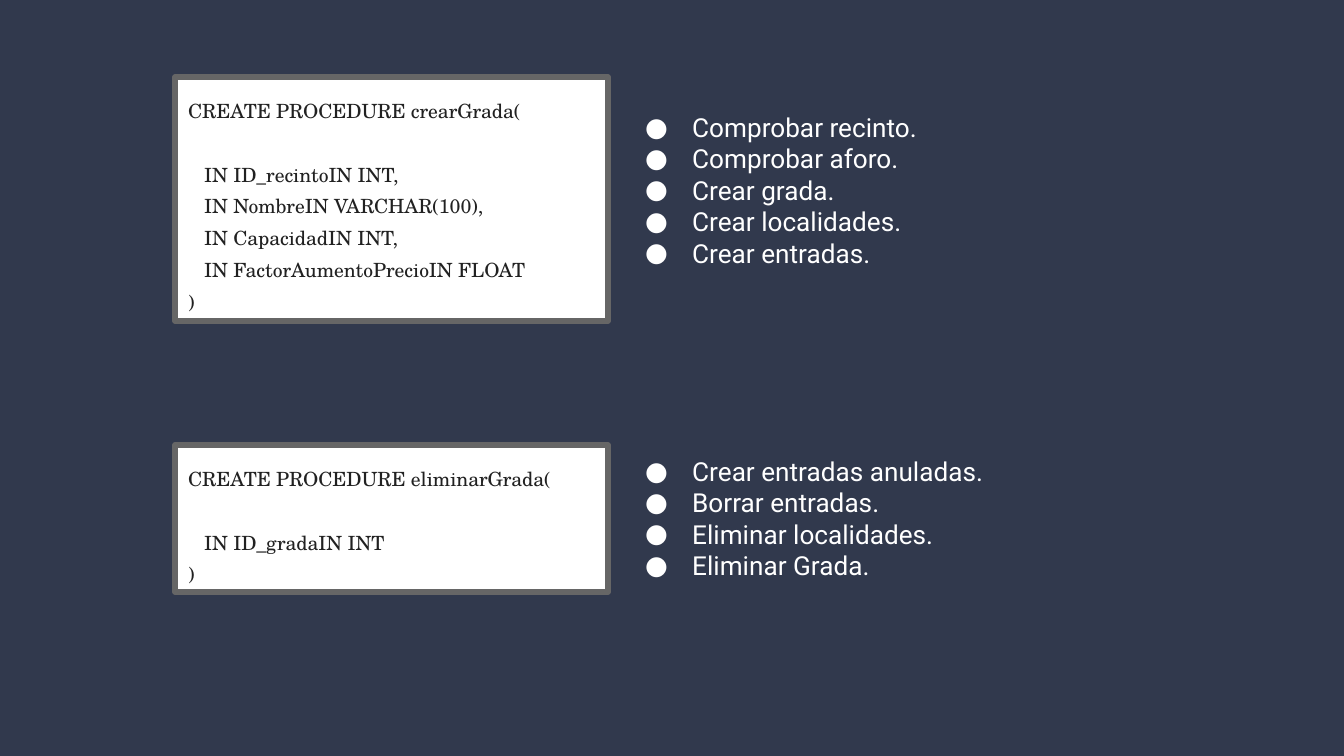
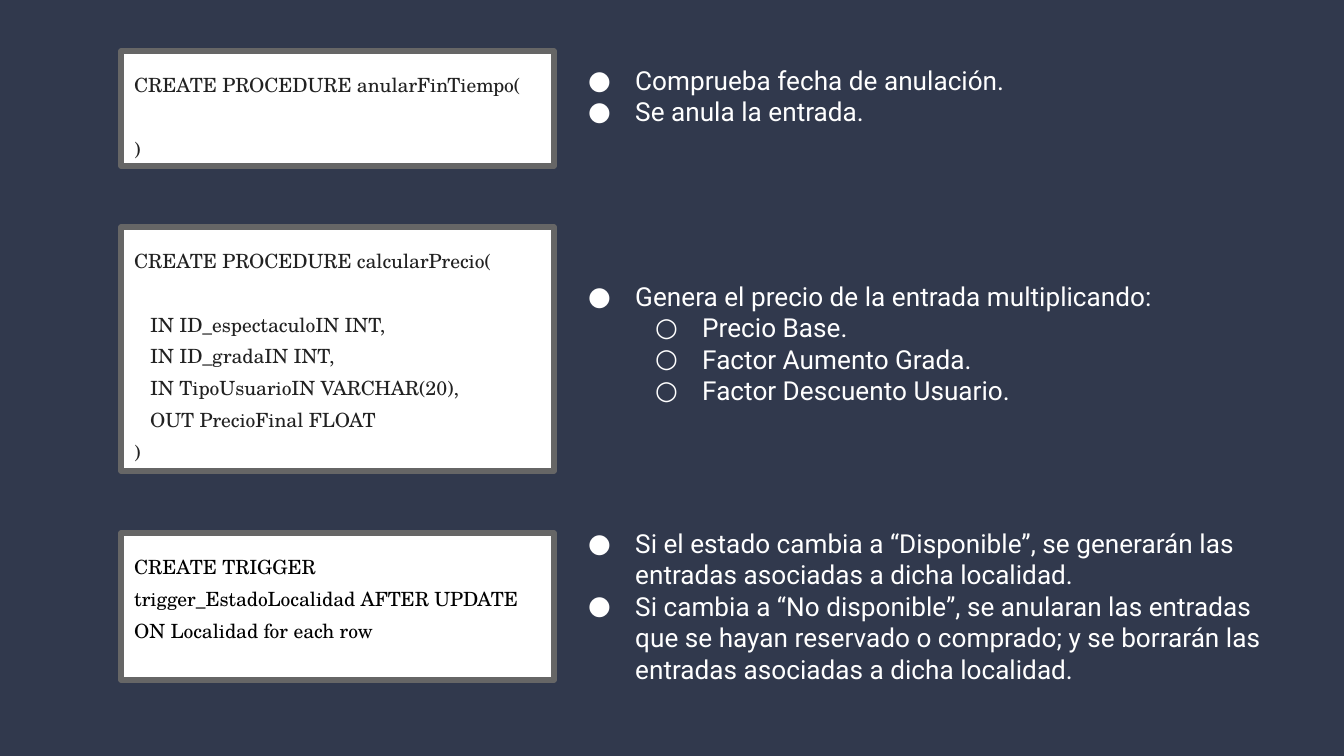
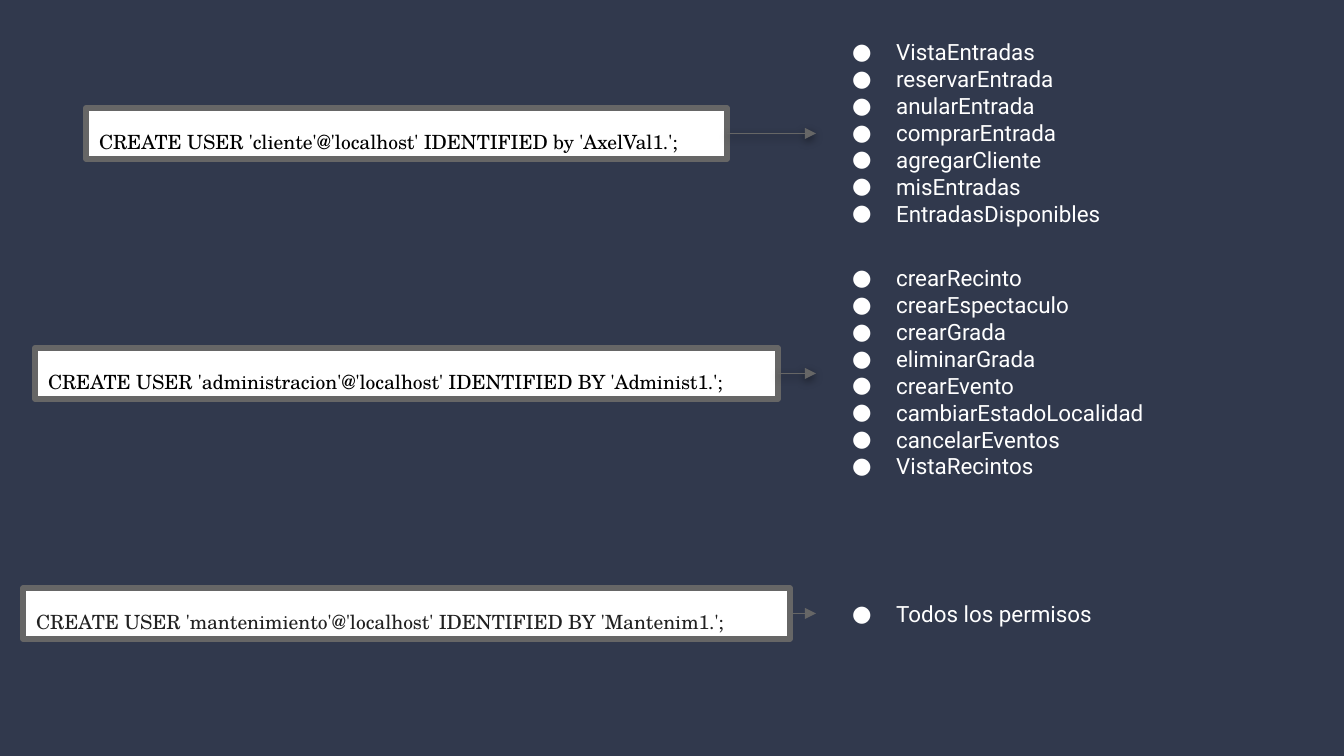
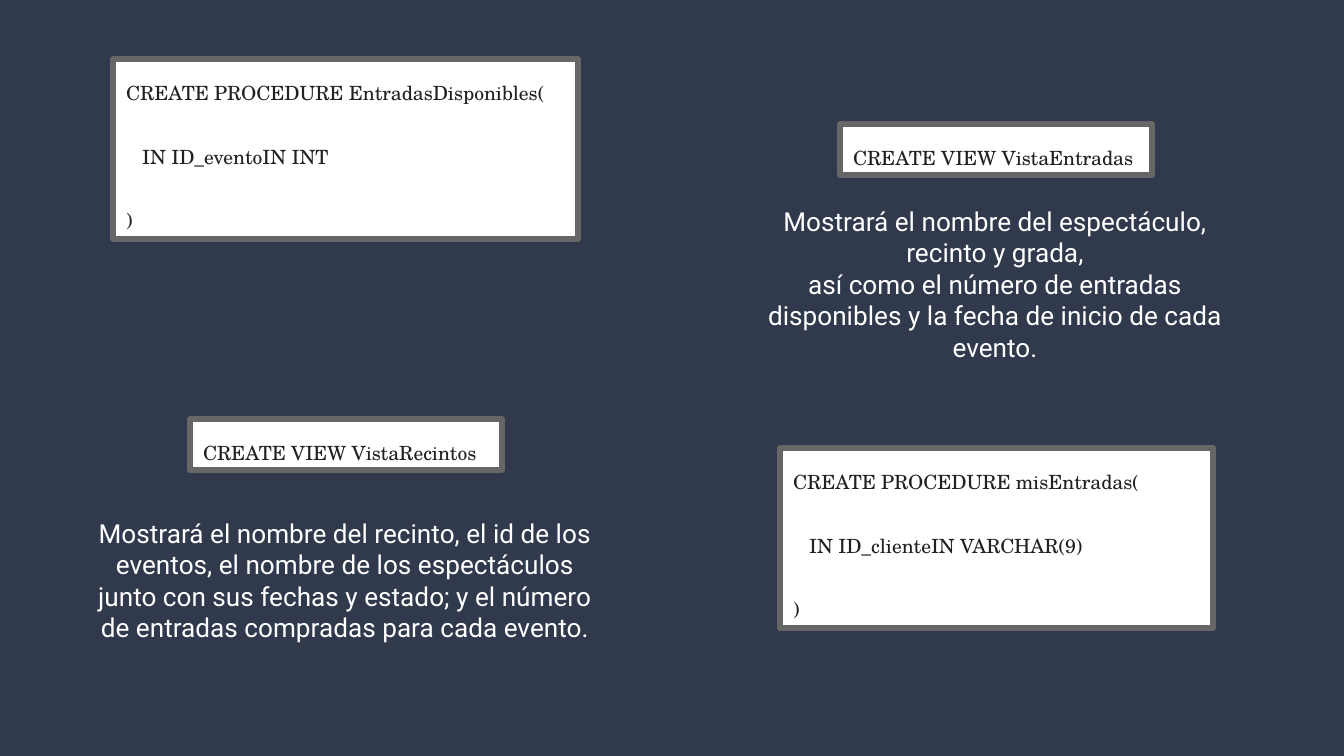
from lxml import etree
from pptx import Presentation
from pptx.dml.color import RGBColor
from pptx.enum.shapes import MSO_CONNECTOR, MSO_SHAPE
from pptx.enum.text import MSO_ANCHOR, PP_ALIGN
from pptx.oxml.ns import qn
from pptx.util import Emu, Pt

RECTANGLE = MSO_SHAPE.RECTANGLE
STRAIGHT = MSO_CONNECTOR.STRAIGHT
TOP = MSO_ANCHOR.TOP
LEFT, CENTER = PP_ALIGN.LEFT, PP_ALIGN.CENTER
RIGHT_SIDE, LEFT_SIDE = 3, 1

SLIDE_WIDTH, SLIDE_HEIGHT = 1344, 756
EMU_PER_PX = 9144000 / SLIDE_WIDTH
INSET = Emu(91440)


def px(length):
    return Emu(round(length * EMU_PER_PX))


def color(value):
    return RGBColor.from_string(value)


def child(parent, tag, **attributes):
    return etree.SubElement(parent, qn(tag), {k: str(v) for k, v in attributes.items()})


class Deck:
    NAVY, WHITE, GRAY = "31394D", "FFFFFF", "666666"
    INK, BLACK = "212121", "000000"
    CODE_FONT, TEXT_FONT = "TeX Gyre Schola", "Roboto"
    CODE_SIZE, TEXT_SIZE = 10.5, 14
    CODE_SPACING, CODE_GAP, CODE_INDENT = 1.36, 17, 16
    CODE_BASE, CODE_STEP = 51, 32.25
    BULLETS = "●○"
    BULLET_STEP = 67

    def __init__(self):
        self.prs = Presentation()
        self.prs.slide_width = px(SLIDE_WIDTH)
        self.prs.slide_height = px(SLIDE_HEIGHT)

    def new_slide(self):
        self.slide = self.prs.slides.add_slide(self.prs.slide_layouts[6])
        fill = self.slide.background.fill
        fill.solid()
        fill.fore_color.rgb = color(self.NAVY)

    def frame(self, shape):
        frame = shape.text_frame
        frame.word_wrap = True
        frame.vertical_anchor = TOP
        frame.margin_left = frame.margin_right = INSET
        frame.margin_top = frame.margin_bottom = INSET
        return frame

    def paragraph(self, frame, index, text, font, size, ink, align=LEFT):
        paragraph = frame.add_paragraph() if index else frame.paragraphs[0]
        paragraph.text = text
        paragraph.alignment = align
        paragraph.font.name = font
        paragraph.font.size = Pt(size)
        paragraph.font.color.rgb = color(ink)
        return paragraph

    def code(self, x, y, width, lines, rows=1, ink=INK):
        height = int(self.CODE_BASE + self.CODE_STEP * (rows - 1))
        box = self.slide.shapes.add_shape(RECTANGLE, px(x), px(y), px(width), px(height))
        box.shadow.inherit = False
        box.fill.solid()
        box.fill.fore_color.rgb = color(self.WHITE)
        box.line.color.rgb = color(self.GRAY)
        box.line.width = Pt(3)
        frame = self.frame(box)
        for index, (text, indent, gap) in enumerate(lines):
            line = self.paragraph(frame, index, text, self.CODE_FONT, self.CODE_SIZE, ink)
            line.line_spacing = self.CODE_SPACING
            if gap:
                line.space_before = Pt(self.CODE_GAP)
            if indent:
                line._p.get_or_add_pPr().set("marL", str(px(self.CODE_INDENT)))
        return box

    def statement(self, x, y, width, text, rows=1, ink=INK):
        return self.code(x, y, width, [(text, False, False)], rows, ink)

    def procedure(self, x, y, width, name, parameters=(), spaced_end=False):
        lines = [(f"CREATE PROCEDURE {name}(", False, False)]
        lines += [(text, True, index == 0) for index, text in enumerate(parameters)]
        lines.append((")", False, spaced_end or not parameters))
        rows = len(lines) + sum(gap for _, _, gap in lines)
        return self.code(x, y, width, lines, rows)

    def text_box(self, x, y, width, height):
        return self.slide.shapes.add_textbox(px(x), px(y), px(width), px(height))

    def steps(self, x, y, width, height, items, size=TEXT_SIZE, hanging=47):
        box = self.text_box(x, y, width, height)
        frame = self.frame(box)
        for index, item in enumerate(items):
            text, level = item if isinstance(item, tuple) else (item, 0)
            step = self.paragraph(frame, index, text, self.TEXT_FONT, size, self.WHITE)
            step.level = level
            properties = step._p.get_or_add_pPr()
            properties.set("marL", str(px(self.BULLET_STEP * (level + 1))))
            properties.set("indent", str(-px(hanging)))
            run_defaults = properties.find(qn("a:defRPr"))
            bullet_color = child(properties, "a:buClr")
            child(bullet_color, "a:srgbClr", val=self.WHITE)
            child(properties, "a:buFont", typeface=self.TEXT_FONT)
            child(properties, "a:buChar", char=self.BULLETS[level])
            properties.append(run_defaults)
        return box

    def description(self, x, y, width, height, texts):
        frame = self.frame(self.text_box(x, y, width, height))
        for index, text in enumerate(texts):
            self.paragraph(frame, index, text, self.TEXT_FONT, self.TEXT_SIZE, self.WHITE, CENTER)

    def arrow(self, source, target, shadow):
        arrow = self.slide.shapes.add_connector(STRAIGHT, 0, 0, 0, 0)
        arrow.begin_connect(source, RIGHT_SIDE)
        arrow.end_connect(target, LEFT_SIDE)
        arrow.line.color.rgb = color(self.GRAY)
        arrow.line.width = Pt(0.75)
        child(arrow.line._get_or_add_ln(), "a:tailEnd", type="triangle")
        effects = child(arrow._element.spPr, "a:effectLst")
        if shadow:
            outer = child(effects, "a:outerShdw", blurRad=Pt(4.5), dist=Pt(1.5),
                          dir=5400000, algn="bl", rotWithShape=0)
            child(child(outer, "a:srgbClr", val=self.BLACK), "a:alpha", val=50000)


def stand_procedures(deck):
    deck.new_slide()
    deck.procedure(175, 77, 433, "crearGrada", [
        "IN ID_recintoIN INT,", "IN NombreIN VARCHAR(100),",
        "IN CapacidadIN INT,", "IN FactorAumentoPrecioIN FLOAT"])
    deck.steps(612, 98, 372, 185, [
        "Comprobar recinto.", "Comprobar aforo.", "Crear grada.",
        "Crear localidades.", "Crear entradas."])
    deck.procedure(175, 445, 433, "eliminarGrada", ["IN ID_gradaIN INT"])
    deck.steps(612, 442, 419, 153, [
        "Crear entradas anuladas.", "Borrar entradas.",
        "Eliminar localidades.", "Eliminar Grada."])


def ticket_procedures(deck):
    deck.new_slide()
    deck.procedure(121, 51, 433, "anularFinTiempo")
    deck.procedure(121, 227, 433, "calcularPrecio", [
        "IN ID_espectaculoIN INT,", "IN ID_gradaIN INT,",
        "IN TipoUsuarioIN VARCHAR(20),", "OUT PrecioFinal FLOAT"])
    deck.steps(555, 51, 644, 90, ["Comprueba fecha de anulación.", "Se anula la entrada."])
    deck.steps(555, 267, 644, 153, [
        "Genera el precio de la entrada multiplicando:", ("Precio Base.", 1),
        ("Factor Aumento Grada.", 1), ("Factor Descuento Usuario.", 1)])
    deck.statement(
        121, 533, 433,
        "CREATE TRIGGER trigger_EstadoLocalidad AFTER UPDATE ON Localidad for each row",
        rows=4, ink=deck.BLACK)
    deck.steps(555, 514, 726, 185, [
        "Si el estado cambia a “Disponible”, se generarán las entradas asociadas a dicha localidad.",
        "Si cambia a “No disponible”, se anularan las entradas que se hayan reservado o comprado; "
        "y se borrarán las entradas asociadas a dicha localidad."])


def user_permissions(deck):
    deck.new_slide()
    users = [
        (86, 108, 641, "'cliente'@'localhost' IDENTIFIED by 'AxelVal1.';", deck.BLACK,
         25, 217, True,
         ["VistaEntradas", "reservarEntrada", "anularEntrada", "comprarEntrada",
          "agregarCliente", "misEntradas", "EntradasDisponibles"]),
        (35, 348, 743, "'administracion'@'localhost' IDENTIFIED BY 'Administ1.';", deck.BLACK,
         251, 245, True,
         ["crearRecinto", "crearEspectaculo", "crearGrada", "eliminarGrada", "crearEvento",
          "cambiarEstadoLocalidad", "cancelarEventos", "VistaRecintos"]),
        (23, 588, 767, "'mantenimiento'@'localhost' IDENTIFIED BY 'Mantenim1.';", deck.INK,
         587, 53, False, ["Todos los permisos"]),
    ]
    for x, y, width, account, ink, list_y, list_height, shadow, permissions in users:
        user = deck.statement(x, y, width, f"CREATE USER {account}", ink=ink)
        granted = deck.steps(816, list_y, 374, list_height, permissions, size=12, hanging=44)
        deck.arrow(user, granted, shadow)


def views(deck):
    deck.new_slide()
    deck.procedure(780, 448, 433, "misEntradas", ["IN ID_clienteIN VARCHAR(9)"], spaced_end=True)
    deck.procedure(113, 59, 465, "EntradasDisponibles", ["IN ID_eventoIN INT"], spaced_end=True)
    deck.statement(190, 419, 312, "CREATE VIEW VistaRecintos")
    deck.statement(840, 124, 312, "CREATE VIEW VistaEntradas")
    deck.description(743, 192, 504, 185, [
        "Mostrará el nombre del espectáculo, recinto y grada,",
        "así como el número de entradas disponibles y la fecha de inicio de cada evento."])
    deck.description(77, 504, 536, 153, [
        "Mostrará el nombre del recinto, el id de los eventos, el nombre de los espectáculos "
        "junto con sus fechas y estado; y el número de entradas compradas para cada evento."])


def main():
    deck = Deck()
    for build in (stand_procedures, ticket_procedures, user_permissions, views):
        build(deck)
    deck.prs.save("out.pptx")


if __name__ == "__main__":
    main()
